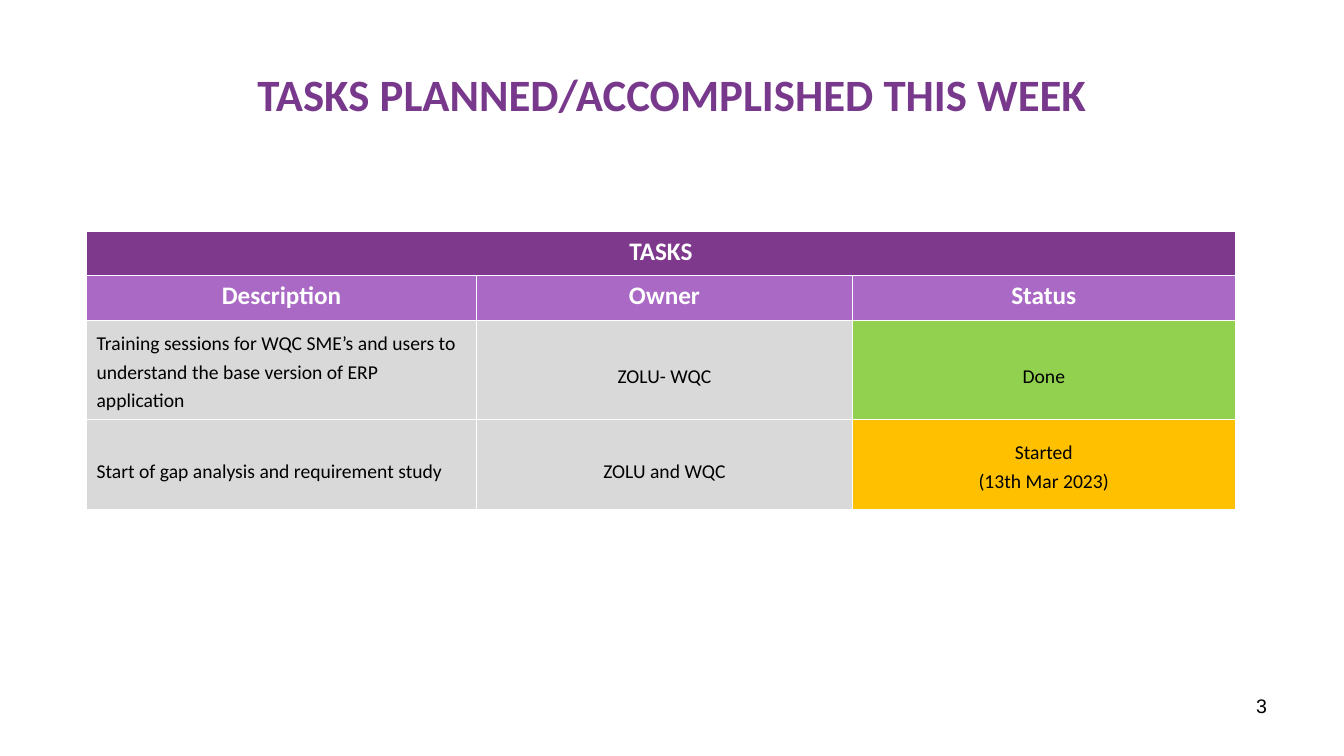
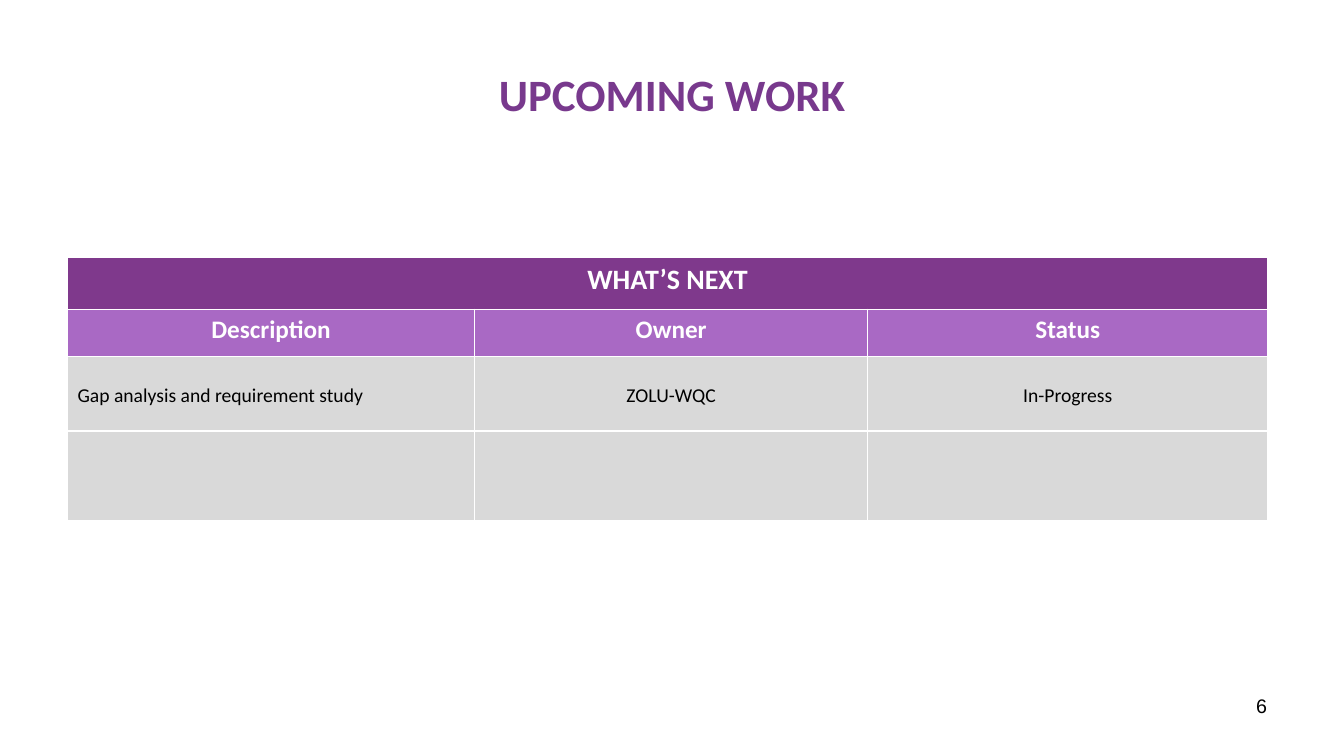
from lxml.etree import SubElement
from pptx import Presentation
from pptx.dml.color import RGBColor
from pptx.enum.text import MSO_ANCHOR, PP_ALIGN
from pptx.oxml.ns import qn
from pptx.util import Cm, Pt

# Shared colours
TITLE, BAND, HEAD = "78398D", "7F398C", "A969C4"
GREY, GREEN, AMBER = "D9D9D9", "92D050", "FFC000"
WHITE, BLACK = "FFFFFF", "000000"
LABELS = ("Description", "Owner", "Status")


def write(frame, text, size, color, bold=False, align=PP_ALIGN.CENTER,
          gap=None, face="Calibri"):
    for i, line in enumerate(text.split("\n")):
        para = frame.add_paragraph() if i else frame.paragraphs[0]
        para.alignment = align
        para.line_spacing = gap
        run = para.add_run()
        run.text = line
        font = run.font
        font.name, font.size, font.bold = face, Pt(size), bold
        font.color.rgb = RGBColor.from_string(color)


def paint(cell, color):
    props = cell._tc.get_or_add_tcPr()
    for side in ("lnL", "lnR", "lnT", "lnB"):
        edge = SubElement(props, qn("a:" + side), w=str(Pt(1)))
        fill = SubElement(edge, qn("a:solidFill"))
        SubElement(fill, qn("a:srgbClr"), val=WHITE)
    cell.fill.solid()
    cell.fill.fore_color.rgb = RGBColor.from_string(color)


# Each body cell: text, line spacing, fill
slides = [
    dict(title="TASKS PLANNED/ACCOMPLISHED THIS WEEK", page="3",
         band="TASKS", size=18, left=2.18, top=5.83,
         cols=(9.83, 9.47, 9.65), rows=(1.12, 1.12, 2.51, 2.26),
         body=[
             [("Training sessions for WQC SME’s and users to understand "
               "the base version of ERP application", 1.2, GREY),
              ("ZOLU- WQC", 1.6, GREY), ("Done", 1.6, GREEN)],
             [("Start of gap analysis and requirement study", 1.6, GREY),
              ("ZOLU and WQC", 1.6, GREY),
              ("Started\n(13th Mar 2023)", 1.2, AMBER)]]),
    dict(title="UPCOMING WORK", page="6",
         band="WHAT’S NEXT", size=20, left=1.7, top=6.49,
         cols=(10.26, 9.91, 10.08), rows=(1.3, 1.19, 1.88, 2.26),
         body=[
             [("Gap analysis and requirement study", 1.2, GREY),
              ("ZOLU-WQC", 1.2, GREY), ("In-Progress", 1.2, GREY)],
             [("", None, GREY)] * 3]),
]

deck = Presentation()
deck.slide_width, deck.slide_height = Cm(33.87), Cm(19.05)

for data in slides:
    slide = deck.slides.add_slide(deck.slide_layouts[5])

    # Title
    title = slide.shapes.title
    title.left, title.top = Cm(1.7), Cm(0.76)
    title.width, title.height = Cm(30.48), Cm(3.18)
    title.text_frame.vertical_anchor = MSO_ANCHOR.MIDDLE
    write(title.text_frame, data["title"], 32, TITLE, True)

    # Table grid
    cols, rows = data["cols"], data["rows"]
    table = slide.shapes.add_table(
        len(rows), len(cols), Cm(data["left"]), Cm(data["top"]),
        Cm(sum(cols)), Cm(sum(rows))).table
    table.first_row = table.horz_banding = False
    for col, width in zip(table.columns, cols):
        col.width = Cm(width)
    for row, height in zip(table.rows, rows):
        row.height = Cm(height)

    # Band and column heads
    band = table.cell(0, 0)
    band.merge(table.cell(0, len(cols) - 1))
    write(band.text_frame, data["band"], data["size"], WHITE, True)
    for c, label in enumerate(LABELS):
        paint(table.cell(0, c), BAND)
        head = table.cell(1, c)
        paint(head, HEAD)
        write(head.text_frame, label, 18, WHITE, True)

    # Body rows
    for r, line in enumerate(data["body"], 2):
        for c, (text, gap, color) in enumerate(line):
            cell = table.cell(r, c)
            paint(cell, color)
            cell.vertical_anchor = MSO_ANCHOR.MIDDLE
            if text:
                align = PP_ALIGN.CENTER if c else PP_ALIGN.LEFT
                write(cell.text_frame, text, 14, BLACK, align=align, gap=gap)

    # Page number
    page = slide.shapes.add_textbox(Cm(24.28), Cm(17.35), Cm(7.9), Cm(1.32))
    page.text_frame.word_wrap = True
    write(page.text_frame, data["page"], 14, BLACK,
          align=PP_ALIGN.RIGHT, face="Arial")

deck.save("out.pptx")
